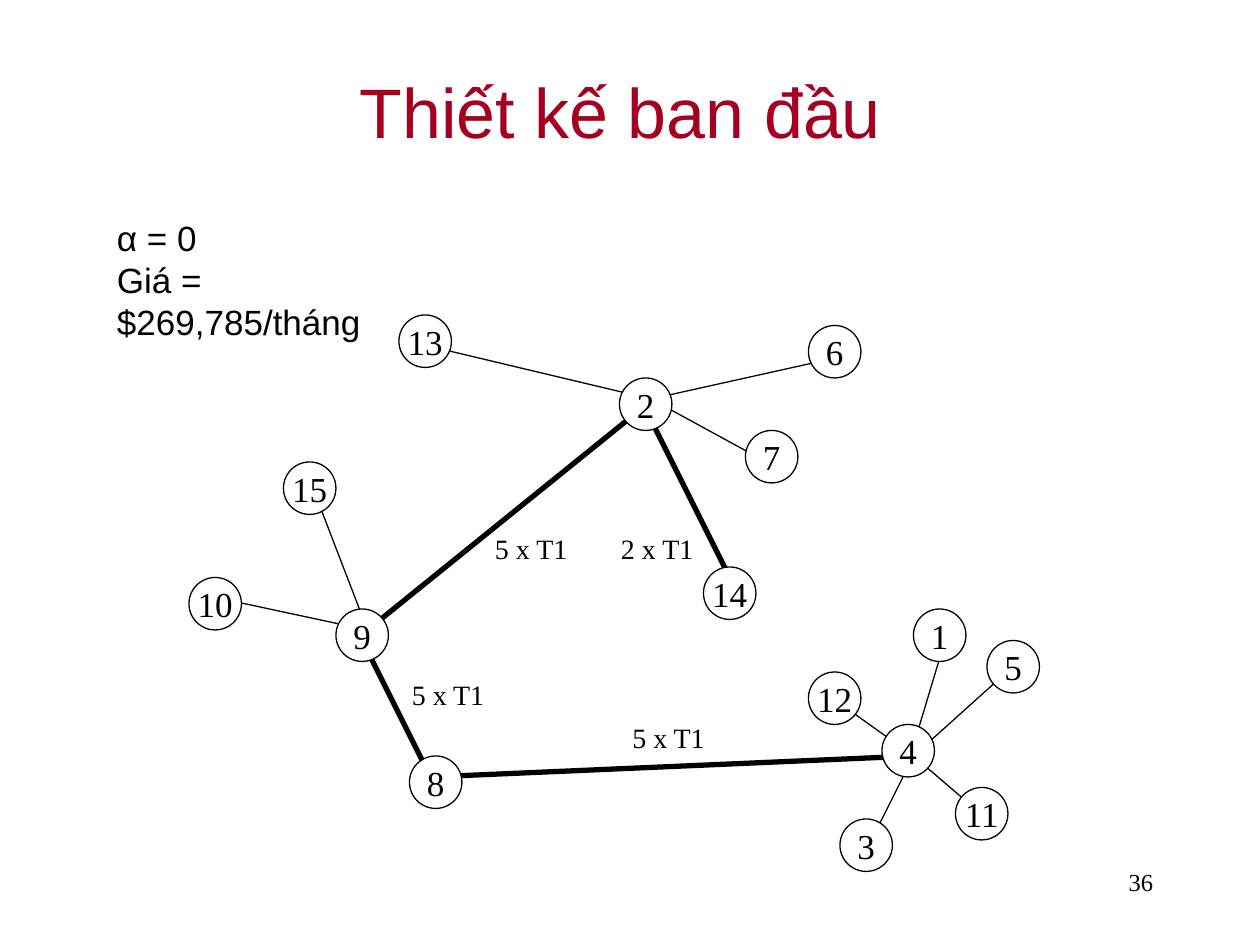
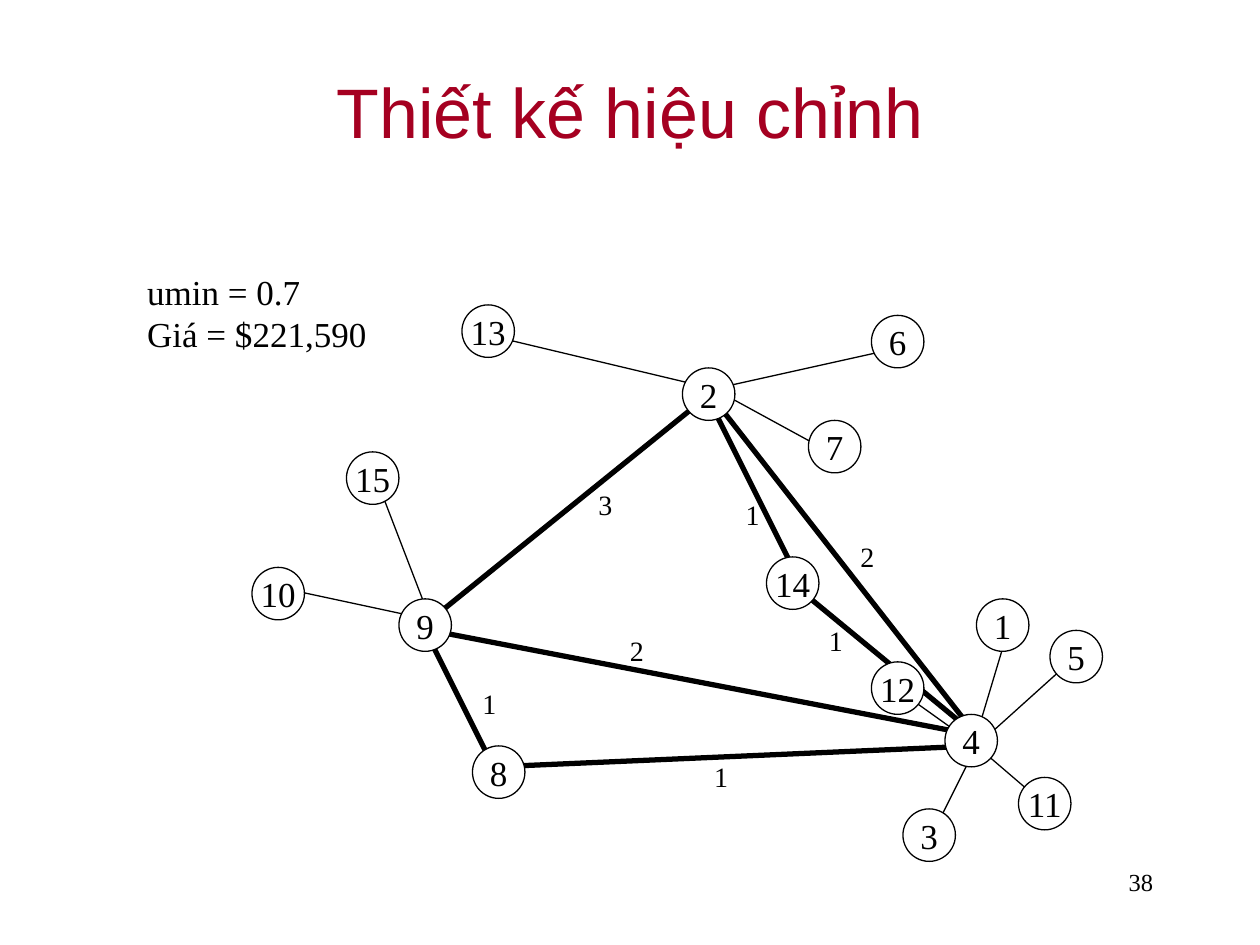
import pptx
import pptx.util
import pptx.dml.color
import pptx.enum.shapes
import pptx.enum.text
import pptx.oxml.ns
import lxml.etree

Inches = pptx.util.Inches
Align = pptx.enum.text.PP_ALIGN
Anchor = pptx.enum.text.MSO_ANCHOR

COLORS = {"title": "A50021", "ink": "000000", "node": "FFFFFF"}
SANS, SERIF = "Arial", "Times New Roman"
GRID = 1 / 12
NODE_SIZE = 5 * GRID
THIN, THICK = 0.75, 3

NODES = {
    "15": (9, 14), "10": (0, 25), "9": (14, 28), "8": (21, 42), "3": (62, 48),
    "11": (73, 45), "4": (66, 39), "12": (59, 34), "5": (76, 31), "1": (69, 28),
    "13": (20, 0), "14": (49, 24), "2": (41, 6), "7": (53, 11), "6": (59, 1),
}
ACCESS_LINKS = [
    ((23, 3), (44, 8)), ((44, 8), (62, 4)), ((44, 8), (55, 14)),
    ((62, 37), (69, 42)), ((72, 31), (69, 41)), ((79, 33), (69, 42)),
    ((76, 48), (69, 42)), ((64, 52), (69, 42)),
    ((12, 17), (17, 30)), ((17, 30), (3, 27)),
]
BACKBONE = [
    ((43, 8), (52, 26)), ((69, 42), (23, 44)),
    ((23, 44), (16, 30)), ((17, 30), (43, 9)),
]
ADDED_LINKS = [((69, 41), (17, 31)), ((69, 41), (44, 9)), ((52, 27), (69, 41))]

DESIGNS = [
    dict(
        title="Thiết kế ban đầu ", number="36", origin=(1.5, 2.5),
        facts=dict(lines=["α = 0", "Giá = $269,785/tháng"],
                   box=(0.83, 1.67, 2.75, 0.77), font=SANS, wrap=True),
        backbone=BACKBONE, label_width=0.78,
        labels=[("5 x T1", 2.33, 1.67), ("5 x T1", 1.67, 2.83),
                ("5 x T1", 3.42, 3.17), ("2 x T1", 3.33, 1.67)],
    ),
    dict(
        title="Thiết kế hiệu chỉnh", number="38", origin=(2, 2.42),
        facts=dict(lines=["umin = 0.7", "Giá = $221,590"],
                   box=(1.07, 2.1, 1.94, 0.77), font=SERIF, wrap=False),
        backbone=ADDED_LINKS + BACKBONE, label_width=0.31,
        labels=[("1", 3.57, 3.56), ("1", 1.73, 2.98), ("2", 2.9, 2.56),
                ("3", 2.65, 1.4), ("1", 3.82, 1.48), ("1", 4.48, 2.48),
                ("2", 4.73, 1.81)],
    ),
]


def rgb(name):
    return pptx.dml.color.RGBColor.from_string(COLORS[name])


def write(frame, *lines, size=20, font=SERIF, color="ink", align=Align.LEFT,
          anchor=Anchor.TOP, wrap=False):
    frame.auto_size = pptx.enum.text.MSO_AUTO_SIZE.NONE
    frame.word_wrap = wrap
    frame.vertical_anchor = anchor
    for index, line in enumerate(lines):
        paragraph = frame.add_paragraph() if index else frame.paragraphs[0]
        paragraph.alignment = align
        run = paragraph.add_run()
        run.text = line
        run.font.size = pptx.util.Pt(size)
        run.font.name = font
        run.font.color.rgb = rgb(color)


def add_text(slide, box, *lines, **style):
    textbox = slide.shapes.add_textbox(*map(Inches, box))
    write(textbox.text_frame, *lines, **style)


def add_title(slide, text, box):
    title = slide.shapes.title
    title.left, title.top, title.width, title.height = map(Inches, box)
    write(title.text_frame, text, size=40, font=SANS, color="title",
          align=Align.CENTER, anchor=Anchor.MIDDLE, wrap=True)


def add_link(slide, origin, ends, weight):
    points = [Inches(start + step * GRID)
              for end in ends for start, step in zip(origin, end)]
    link = slide.shapes.add_connector(
        pptx.enum.shapes.MSO_CONNECTOR.STRAIGHT, *points)
    link.line.color.rgb = rgb("ink")
    link.line.width = pptx.util.Pt(weight)
    lxml.etree.SubElement(link._element.spPr, pptx.oxml.ns.qn("a:effectLst"))


def add_node(slide, origin, name, cell):
    left, top = (start + step * GRID for start, step in zip(origin, cell))
    node = slide.shapes.add_shape(
        pptx.enum.shapes.MSO_SHAPE.OVAL,
        *map(Inches, (left, top, NODE_SIZE, NODE_SIZE)))
    node.shadow.inherit = False
    node.fill.solid()
    node.fill.fore_color.rgb = rgb("node")
    node.line.color.rgb = rgb("ink")
    node.line.width = pptx.util.Pt(THIN)
    write(node.text_frame, name, align=Align.CENTER, anchor=Anchor.MIDDLE)


def add_network(slide, origin, backbone, labels, label_width):
    for links, weight in ((backbone, THICK), (ACCESS_LINKS, THIN)):
        for ends in links:
            add_link(slide, origin, ends, weight)
    for name, cell in NODES.items():
        add_node(slide, origin, name, cell)
    for text, x, y in labels:
        add_text(slide, (origin[0] + x, origin[1] + y, label_width, 0.37),
                 text, size=16)


def add_design_slide(deck, design):
    slide = deck.slides.add_slide(deck.slide_layouts[5])
    add_text(slide, (7.17, 6.83, 2.08, 0.5), design["number"],
             size=14, align=Align.RIGHT, wrap=True)
    add_title(slide, design["title"], (0.75, 0.25, 8.5, 1.25))
    add_network(slide, design["origin"], design["backbone"],
                design["labels"], design["label_width"])
    facts = design["facts"]
    add_text(slide, facts["box"], *facts["lines"],
             font=facts["font"], wrap=facts["wrap"])


def main():
    deck = pptx.Presentation()
    deck.slide_width, deck.slide_height = Inches(10), Inches(7.5)
    for design in DESIGNS:
        add_design_slide(deck, design)
    deck.save("out.pptx")


if __name__ == "__main__":
    main()
